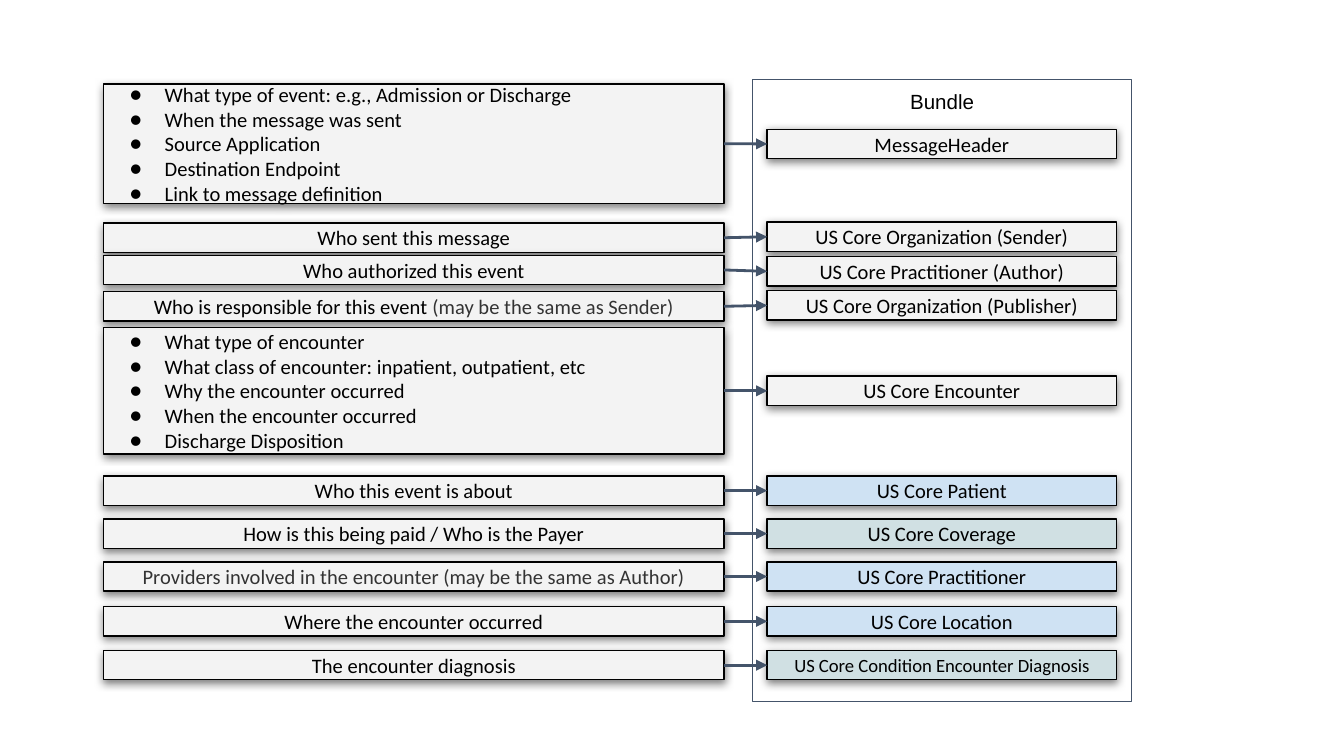
"""Build the slide that maps event questions to the resources of a message bundle."""
import dataclasses

import lxml.etree
import pptx
import pptx.dml.color
import pptx.enum.shapes
import pptx.enum.text
import pptx.oxml.ns
import pptx.util

Pt = pptx.util.Pt
ALIGN = pptx.enum.text.PP_ALIGN
ANCHOR = pptx.enum.text.MSO_ANCHOR
RECTANGLE = pptx.enum.shapes.MSO_SHAPE.RECTANGLE
STRAIGHT = pptx.enum.shapes.MSO_CONNECTOR.STRAIGHT


@dataclasses.dataclass(frozen=True)
class Theme:
    """Colours, fonts, type sizes and line widths of the slide."""
    ink: str = "000000"
    muted: str = "333333"
    accent: str = "44546A"
    grey: str = "F3F3F3"
    blue: str = "CFE2F3"
    teal: str = "D0E0E3"
    font: str = "Calibri"
    bundle_font: str = "Arial"
    size: float = 11
    small: float = 10
    outline: float = 0.75
    arrow: float = 1.5


THEME = Theme()
QUESTION_LEFT, QUESTION_WIDTH = 55.5, 332.5
RESOURCE_LEFT, RESOURCE_WIDTH = 411, 187.25
ROW_HEIGHT = 15.75
BUNDLE_BOX = (403.25, 42.5, 203, 333.5)

MESSAGE_DETAILS = [
    "What type of event: e.g., Admission or Discharge",
    "When the message was sent",
    "Source Application",
    "Destination Endpoint",
    "Link to message definition",
]
ENCOUNTER_DETAILS = [
    "What type of encounter",
    "What class of encounter: inpatient, outpatient, etc",
    "Why the encounter occurred",
    "When the encounter occurred",
    "Discharge Disposition",
]


@dataclasses.dataclass
class Row:
    """One question box and the resource box that answers it."""
    question_top: float
    resource_top: float
    question: str
    resource: str
    fill: str = THEME.grey
    note: str = ""
    size: float = THEME.size
    details: list = dataclasses.field(default_factory=list)
    height: float = ROW_HEIGHT


ROWS = [
    Row(45, 69.25, "", "MessageHeader", details=MESSAGE_DETAILS, height=64),
    Row(119.5, 119, "Who sent this message", "US Core Organization (Sender)"),
    Row(136.75, 137.5, "Who authorized this event", "US Core Practitioner (Author)"),
    Row(156.25, 155.75, "Who is responsible for this event ", "US Core Organization (Publisher)",
        note="(may be the same as Sender)"),
    Row(175.5, 201.5, "", "US Core Encounter", details=ENCOUNTER_DETAILS, height=67.75),
    Row(255, 255, "Who this event is about", "US Core Patient", THEME.blue),
    Row(278, 278, "How is this being paid / Who is the Payer", "US Core Coverage", THEME.teal),
    Row(301, 301, "", "US Core Practitioner", THEME.blue,
        note="Providers involved in the encounter (may be the same as Author)"),
    Row(325, 325, "Where the encounter occurred", "US Core Location", THEME.blue),
    Row(348.5, 348.5, "The encounter diagnosis", "US Core Condition Encounter Diagnosis",
        THEME.teal, size=THEME.small),
]


def rgb(colour):
    """Turn a hex string into a colour value."""
    return pptx.dml.color.RGBColor.from_string(colour)


def apply_format(target, values):
    """Set each attribute named in a dict of format values."""
    for name, value in values.items():
        setattr(target, name, value)


def add_element(parent, tag, **attributes):
    """Append a drawing element to a parent and return it."""
    return lxml.etree.SubElement(parent, pptx.oxml.ns.qn(tag), attributes)


def add_shadow(shape):
    """Give a shape a soft shadow straight below it."""
    effects = shape._element.spPr.find(pptx.oxml.ns.qn("a:effectLst"))
    shadow = add_element(effects, "a:outerShdw", blurRad=str(Pt(4.5)), dist=str(Pt(1.5)),
                         dir="5400000", algn="bl", rotWithShape="0")
    colour = add_element(shadow, "a:srgbClr", val=THEME.ink)
    add_element(colour, "a:alpha", val="50000")


def add_bullet(paragraph):
    """Give a paragraph a hanging round bullet."""
    properties = paragraph._p.get_or_add_pPr()
    properties.set("marL", str(Pt(27.5)))
    properties.set("indent", str(Pt(-18.75)))
    colour = add_element(properties, "a:buClr")
    add_element(colour, "a:srgbClr", val=THEME.ink)
    add_element(properties, "a:buFont", typeface=THEME.font)
    add_element(properties, "a:buChar", char="●")


def add_run(paragraph, text, colour=THEME.ink, size=THEME.size, font=THEME.font):
    """Add formatted text to a paragraph."""
    run = paragraph.add_run()
    run.text = text
    apply_format(run.font, {"name": font, "size": Pt(size)})
    run.font.color.rgb = rgb(colour)


def add_box(slide, left, top, width, height, fill=None, line=THEME.ink, anchor=ANCHOR.MIDDLE):
    """Add an outlined rectangle; a filled one also gets a shadow."""
    shape = slide.shapes.add_shape(RECTANGLE, Pt(left), Pt(top), Pt(width), Pt(height))
    shape.shadow.inherit = False
    shape.line.color.rgb = rgb(line)
    shape.line.width = Pt(THEME.outline)
    if fill:
        shape.fill.solid()
        shape.fill.fore_color.rgb = rgb(fill)
        add_shadow(shape)
    else:
        shape.fill.background()
    margins = {f"margin_{side}": Pt(5.25) for side in ("left", "top", "right", "bottom")}
    apply_format(shape.text_frame, {"word_wrap": True, "vertical_anchor": anchor, **margins})
    shape.text_frame.paragraphs[0].alignment = ALIGN.CENTER
    return shape


def add_bullet_list(shape, items):
    """Fill a shape with a left-aligned bullet list."""
    frame = shape.text_frame
    for index, item in enumerate(items):
        paragraph = frame.add_paragraph() if index else frame.paragraphs[0]
        paragraph.alignment = ALIGN.LEFT
        add_bullet(paragraph)
        add_run(paragraph, item)


def add_arrow(slide, question, resource):
    """Connect the right side of a question to the left side of its resource."""
    connector = slide.shapes.add_connector(STRAIGHT, 0, 0, 0, 0)
    connector.begin_connect(question, 3)
    connector.end_connect(resource, 1)
    connector.line.color.rgb = rgb(THEME.accent)
    connector.line.width = Pt(THEME.arrow)
    add_element(connector.line._get_or_add_ln(), "a:tailEnd", type="triangle")
    add_element(connector._element.spPr, "a:effectLst")


def add_row(slide, row):
    """Add a question, its resource and the arrow between them."""
    question = add_box(slide, QUESTION_LEFT, row.question_top, QUESTION_WIDTH, row.height,
                       THEME.grey)
    add_bullet_list(question, row.details)
    for text, colour in ((row.question, THEME.ink), (row.note, THEME.muted)):
        if text:
            add_run(question.text_frame.paragraphs[0], text, colour)
    resource = add_box(slide, RESOURCE_LEFT, row.resource_top, RESOURCE_WIDTH, ROW_HEIGHT,
                       row.fill)
    add_run(resource.text_frame.paragraphs[0], row.resource, size=row.size)
    add_arrow(slide, question, resource)


def main():
    """Build and save the presentation."""
    presentation = pptx.Presentation()
    apply_format(presentation, {"slide_width": Pt(720), "slide_height": Pt(405)})
    slide = presentation.slides.add_slide(presentation.slide_layouts[6])
    bundle = add_box(slide, *BUNDLE_BOX, line=THEME.accent, anchor=ANCHOR.TOP)
    add_run(bundle.text_frame.paragraphs[0], "Bundle", font=THEME.bundle_font)
    for row in ROWS:
        add_row(slide, row)
    presentation.save("out.pptx")


if __name__ == "__main__":
    main()
